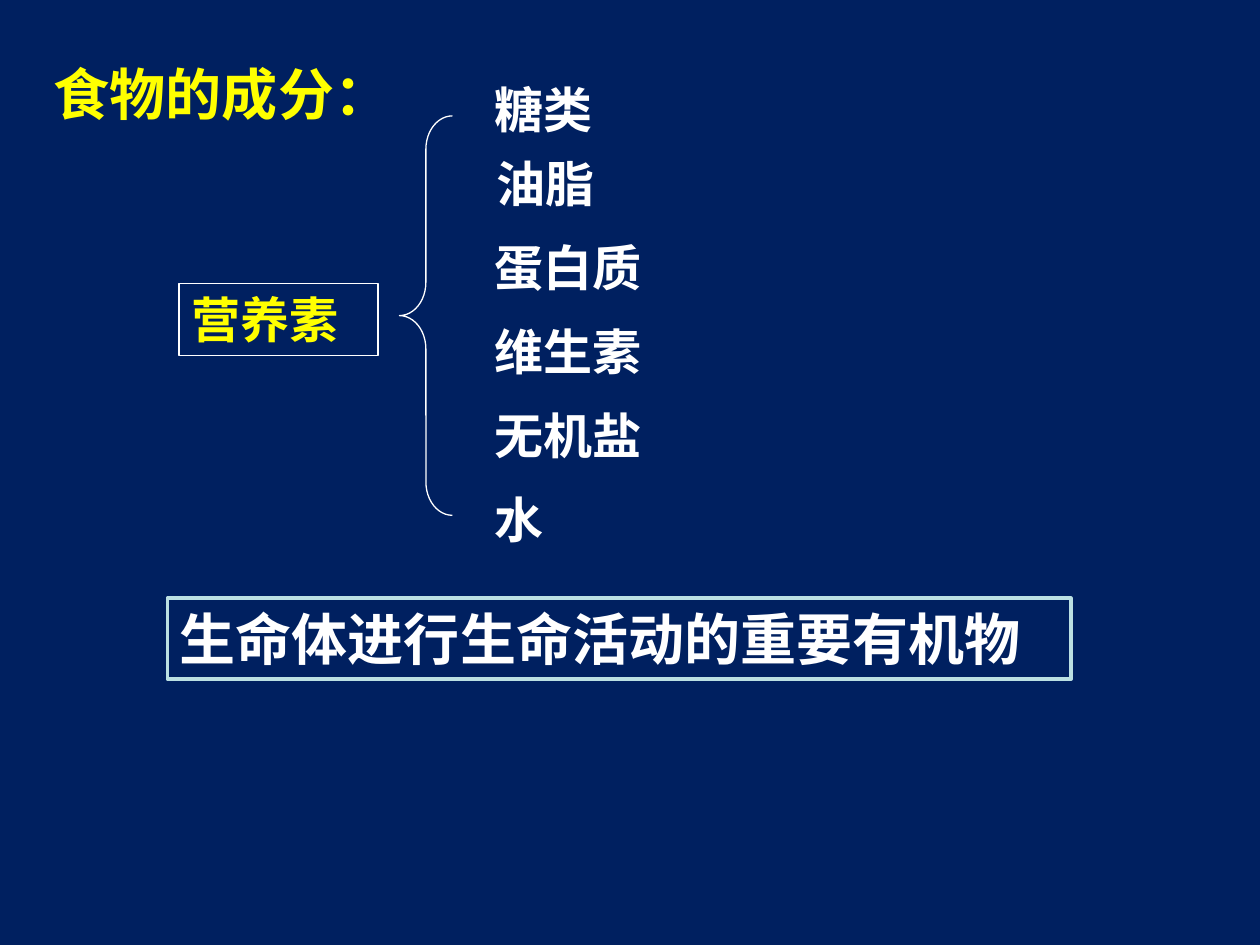
from pptx import Presentation
from pptx.dml.color import RGBColor
from pptx.enum.shapes import MSO_SHAPE
from pptx.enum.text import MSO_ANCHOR, MSO_AUTO_SIZE, PP_ALIGN
from pptx.util import Inches, Pt

THEME = {
    "font": "Times New Roman",
    "background": RGBColor(0x00, 0x20, 0x60),
    "white": RGBColor(0xFF, 0xFF, 0xFF),
    "yellow": RGBColor(0xFF, 0xFF, 0x00),
    "pale_blue": RGBColor(0xBB, 0xE0, 0xE3),
    "large": Pt(32),
    "medium": Pt(28),
    "thin": Pt(0.75),
    "thick": Pt(2.25),
}

TITLE = "食物的成分："
CATEGORY = "营养素"
SUMMARY = "生命体进行生命活动的重要有机物"
NUTRIENTS = [
    ("糖类", 3.83, 2.25, PP_ALIGN.LEFT),
    ("油脂", 2.58, 3.5, PP_ALIGN.CENTER),
    ("蛋白质", 3.83, 1.58, PP_ALIGN.LEFT),
    ("维生素", 3.83, 1.58, PP_ALIGN.LEFT),
    ("无机盐", 3.83, 1.58, PP_ALIGN.LEFT),
    ("水", 3.83, 1.58, PP_ALIGN.LEFT),
]
FIRST_TOP = 0.58
LIST_TOP = 0.5
ROW_STEP = 2 / 3
MEDIUM_HEIGHT = 0.57
LARGE_HEIGHT = 0.64


def apply(target, values):
    for name, value in values.items():
        setattr(target, name, value)


def write(shape, text, color, size, alignment=PP_ALIGN.LEFT):
    apply(shape.text_frame, {
        "word_wrap": True,
        "auto_size": MSO_AUTO_SIZE.SHAPE_TO_FIT_TEXT,
        "vertical_anchor": MSO_ANCHOR.TOP,
    })
    paragraph = shape.text_frame.paragraphs[0]
    paragraph.text = text
    paragraph.alignment = alignment
    apply(paragraph.font, {"name": THEME["font"], "size": THEME[size], "bold": True})
    paragraph.font.color.rgb = THEME[color]


def add_label(slide, box, *text_format):
    write(slide.shapes.add_textbox(*map(Inches, box)), *text_format)


def add_outline(slide, kind, box, color, width):
    shape = slide.shapes.add_shape(kind, *map(Inches, box))
    shape.shadow.inherit = False
    shape.fill.background()
    shape.line.color.rgb = THEME[color]
    shape.line.width = THEME[width]
    return shape


def main():
    presentation = Presentation()
    apply(presentation, {"slide_width": Inches(10), "slide_height": Inches(7.5)})
    slide = presentation.slides.add_slide(presentation.slide_layouts[6])
    slide.background.fill.solid()
    slide.background.fill.fore_color.rgb = THEME["background"]

    summary = add_outline(slide, MSO_SHAPE.RECTANGLE, (1.33, 4.75, 7.17, LARGE_HEIGHT),
                          "pale_blue", "thick")
    write(summary, SUMMARY, "white", "large")
    add_label(slide, (0.33, 0.42, 3.25, LARGE_HEIGHT), TITLE, "yellow", "large")

    for row, (text, left, width, alignment) in enumerate(NUTRIENTS):
        top = max(FIRST_TOP, LIST_TOP + row * ROW_STEP)
        add_label(slide, (left, top, width, MEDIUM_HEIGHT), text, "white", "medium", alignment)

    brace = add_outline(slide, MSO_SHAPE.LEFT_BRACE, (3.17, 0.92, 0.42, 3.17), "white", "thin")
    brace.adjustments[0] = 0.63
    category = add_outline(slide, MSO_SHAPE.RECTANGLE, (1.42, 2.25, 1.58, MEDIUM_HEIGHT),
                           "white", "thin")
    write(category, CATEGORY, "yellow", "medium")

    presentation.save("out.pptx")


if __name__ == "__main__":
    main()
